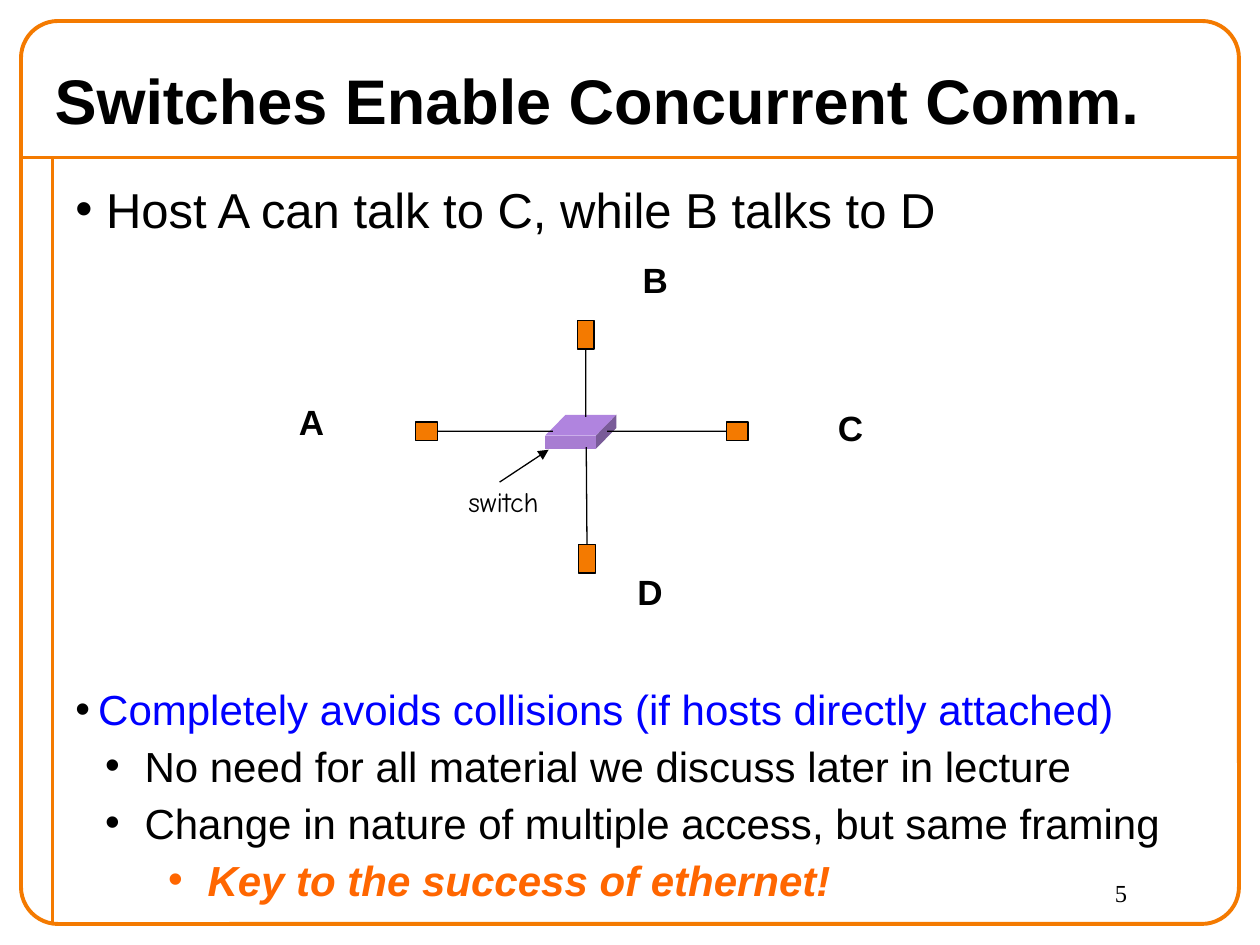
import pptx
import pptx.util
import pptx.dml.color
import pptx.enum.shapes
import pptx.enum.text
import pptx.oxml.ns
import lxml.etree

Pt = pptx.util.Pt
RGB = pptx.dml.color.RGBColor
SHAPE = pptx.enum.shapes.MSO_SHAPE
ALIGN = pptx.enum.text.PP_ALIGN
qn = pptx.oxml.ns.qn

ORANGE = RGB(0xF4, 0x7A, 0x00)
BLACK = RGB(0, 0, 0)
BLUE = RGB(0, 0, 0xFF)
FLAME = RGB(0xFF, 0x66, 0x00)
TOP = RGB(0xB0, 0x84, 0xDF)
FRONT = RGB(0xA8, 0x7D, 0xD2)
SIDE = RGB(0x79, 0x5B, 0x98)


def write(para, text, size=24, font="Arial", color=BLACK, bold=False,
          italic=False, align=ALIGN.LEFT):
    """Put formatted text in a paragraph."""
    para.alignment = align
    run = para.add_run()
    run.text = text
    run.font.size = Pt(size)
    run.font.name = font
    run.font.color.rgb = color
    run.font.bold = bold
    run.font.italic = italic


def add_box(slide, x, y, w, h, wrap=True, top=3.6):
    box = slide.shapes.add_textbox(Pt(x), Pt(y), Pt(w), Pt(h))
    frame = box.text_frame
    frame.word_wrap = wrap
    frame.margin_top = Pt(top)
    return frame


def add_mark(para, left, hang, color, level=0):
    """Give a paragraph a hanging bullet."""
    para.level = level
    props = para._p.get_or_add_pPr()
    props.set("marL", str(Pt(left)))
    props.set("indent", str(-Pt(hang)))
    tint = lxml.etree.SubElement(props, qn("a:buClr"))
    lxml.etree.SubElement(tint, qn("a:srgbClr"), val=str(color))
    lxml.etree.SubElement(props, qn("a:buFont"), typeface="Arial")
    lxml.etree.SubElement(props, qn("a:buChar"), char="•")


def add_line(slide, start, end, color=BLACK, width=0.75, arrow=False):
    line = slide.shapes.add_connector(
        pptx.enum.shapes.MSO_CONNECTOR.STRAIGHT,
        Pt(start[0]), Pt(start[1]), Pt(end[0]), Pt(end[1]))
    line.line.color.rgb = color
    line.line.width = Pt(width)
    if arrow:
        lxml.etree.SubElement(line.line._get_or_add_ln(), qn("a:tailEnd"),
                              type="triangle")
    lxml.etree.SubElement(line._element.spPr, qn("a:effectLst"))
    return line


def add_host(slide, x, y, w, h):
    host = slide.shapes.add_shape(SHAPE.RECTANGLE, Pt(x), Pt(y), Pt(w), Pt(h))
    host.shadow.inherit = False
    host.fill.solid()
    host.fill.fore_color.rgb = ORANGE
    host.line.color.rgb = BLACK
    host.line.width = Pt(0.75)
    return host


def add_face(slide, points, color):
    """Draw one face of the switch block."""
    spots = [(Pt(x), Pt(y)) for x, y in points]
    draft = slide.shapes.build_freeform(*spots[0])
    draft.add_line_segments(spots[1:], close=True)
    face = draft.convert_to_shape()
    face.shadow.inherit = False
    face.fill.solid()
    face.fill.fore_color.rgb = color
    face.line.fill.background()


def add_frame(slide):
    add_line(slide, (12, 90), (708, 90), ORANGE, 2.25)
    add_line(slide, (30, 90), (30, 528), ORANGE, 2.25)
    edge = slide.shapes.add_shape(SHAPE.ROUNDED_RECTANGLE,
                                  Pt(12), Pt(12), Pt(696), Pt(516))
    edge.adjustments[0] = 0.041
    edge.shadow.inherit = False
    edge.fill.background()
    edge.line.color.rgb = ORANGE
    edge.line.width = Pt(2.25)


def add_net(slide):
    # Switch block
    left, right, mid, base = 311.5, 340.5, 249, 256.5
    dx, dy = 11.75, -12
    add_face(slide, [(left, mid), (left + dx, mid + dy),
                     (right + dx, mid + dy), (right, mid)], TOP)
    add_face(slide, [(right, mid), (right + dx, mid + dy),
                     (right + dx, base + dy), (right, base)], SIDE)
    add_face(slide, [(left, mid), (right, mid), (right, base), (left, base)],
             FRONT)

    # Hosts: box, joined side, cable end at the switch, label box
    wide, tall = (12.5, 10.5), (9.5, 16.5)
    hosts = [
        ("A", (237.5, 241.2), wide, 3, (316, 246.4), (163.5, 225.5)),
        ("B", (330, 183), tall, 2, (334.7, 238.2), (360, 144)),
        ("C", (415, 241.2), wide, 1, (347, 246.4), (471.5, 229)),
        ("D", (330.7, 311), tall, 0, (335, 255.5), (357, 322.5)),
    ]
    for name, spot, size, side, end, label in hosts:
        host = add_host(slide, *spot, *size)
        cable = add_line(slide, spot, end)
        cable.begin_connect(host, side)
        frame = add_box(slide, *label, 29, 31, wrap=False)
        write(frame.paragraphs[0], name, size=20, bold=True,
              align=ALIGN.CENTER)

    # Switch label and pointer
    frame = add_box(slide, 260.5, 273.5, 62.5, 26.5, wrap=False)
    write(frame.paragraphs[0], "switch", size=16, font="Comic Neue")
    add_line(slide, (285.5, 275.5), (313.5, 257), arrow=True)


def add_points(slide):
    frame = add_box(slide, 36, 384, 666, 144, top=6.5)
    rows = [
        ("Completely avoids collisions (if hosts directly attached)",
         0, 13, BLACK, {"color": BLUE}),
        ("No need for all material we discuss later in lecture",
         1, 39.5, BLACK, {}),
        ("Change in nature of multiple access, but same framing",
         1, 39.5, BLACK, {}),
        ("Key to the success of ethernet!",
         2, 75.5, FLAME, {"color": FLAME, "bold": True, "italic": True}),
    ]
    for i, (text, level, left, mark, style) in enumerate(rows):
        para = frame.add_paragraph() if i else frame.paragraphs[0]
        if i:
            para.space_before = Pt(3.7)
        add_mark(para, left, 22.5, mark, level)
        write(para, text, **style)


def main():
    deck = pptx.Presentation()
    deck.slide_width, deck.slide_height = Pt(720), Pt(540)
    slide = deck.slides.add_slide(deck.slide_layouts[5])
    add_frame(slide)

    # Title
    title = slide.shapes.title
    title.left, title.top = Pt(24), Pt(30)
    title.width, title.height = Pt(666), Pt(54)
    frame = title.text_frame
    frame.auto_size = pptx.enum.text.MSO_AUTO_SIZE.NONE
    frame.vertical_anchor = pptx.enum.text.MSO_ANCHOR.MIDDLE
    write(frame.paragraphs[0], "Switches Enable Concurrent Comm.", size=36,
          bold=True)

    # Lead point
    lead = add_box(slide, 36, 96, 666, 48, top=6.5).paragraphs[0]
    add_mark(lead, 17.5, 17.5, BLACK)
    write(lead, "Host A can talk to C, while B talks to D", size=28)

    add_net(slide)
    add_points(slide)

    # Page number
    page = add_box(slide, 630, 498, 72, 30)
    write(page.paragraphs[0], "5", size=14, font="Times New Roman")
    deck.save("out.pptx")


if __name__ == "__main__":
    main()
